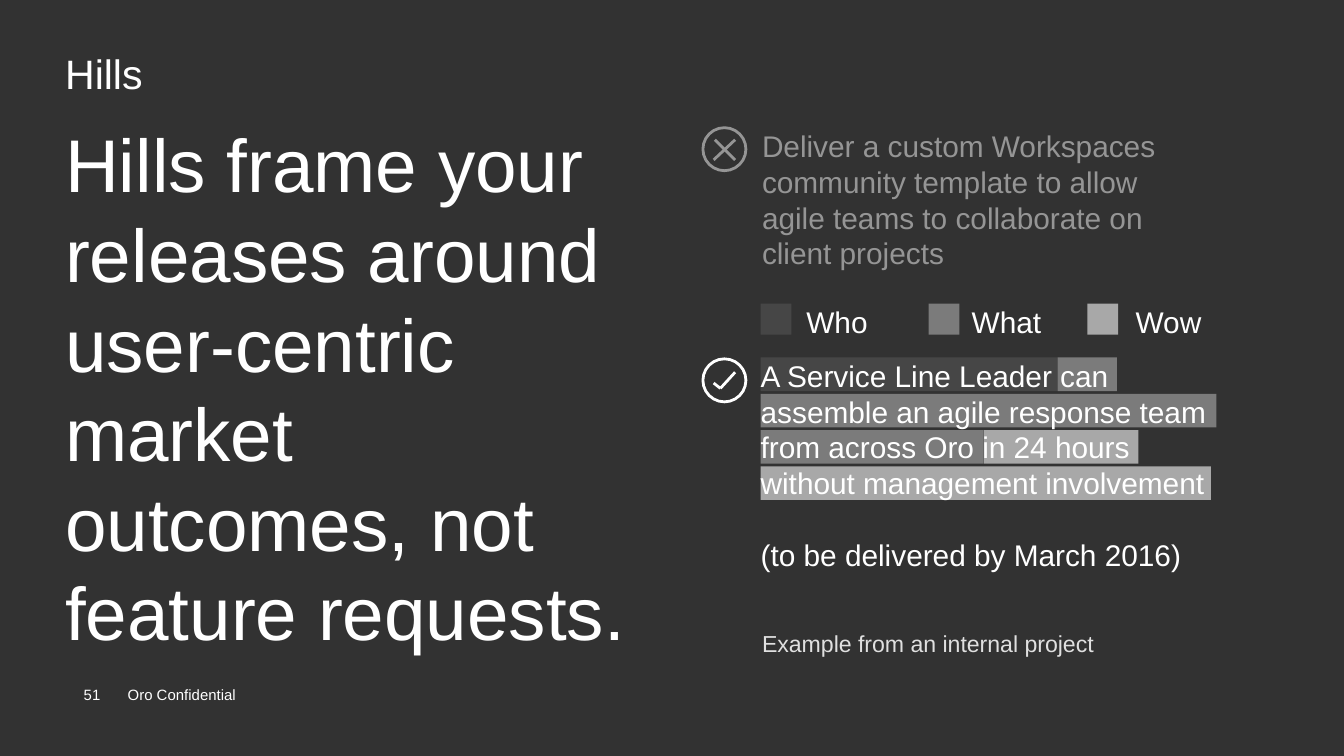
import pptx
import pptx.dml.color
import pptx.enum.shapes
import pptx.enum.text
import pptx.oxml.ns
import pptx.util
import lxml.etree

SHAPE = pptx.enum.shapes.MSO_SHAPE
ALIGN = pptx.enum.text.PP_ALIGN
ANCHOR = pptx.enum.text.MSO_ANCHOR
DARK, MID, LIGHT, WHITE, MUTED = "464646", "7B7B7B", "A8A8A8", "FFFFFF", "959595"


def rgb(value):
    return pptx.dml.color.RGBColor.from_string(value)


def write(sp, text, size=16, color=WHITE, spacing=1.0, gap=0,
          align=ALIGN.LEFT, anchor=ANCHOR.TOP):
    tf = sp.text_frame
    tf.word_wrap = True
    tf.auto_size = pptx.enum.text.MSO_AUTO_SIZE.NONE
    tf.vertical_anchor = anchor
    tf.margin_left = tf.margin_right = tf.margin_top = tf.margin_bottom = 0
    tf.text = text
    for i, p in enumerate(tf.paragraphs):
        p.alignment = align
        p.line_spacing = spacing
        p.space_before = pptx.util.Pt(gap if i else 0)
        p.font.name = "Arial"
        p.font.size = pptx.util.Pt(size)
        p.font.color.rgb = rgb(color)


prs = pptx.Presentation()
prs.slide_width = pptx.util.Inches(10)
prs.slide_height = prs.slide_width * 9 // 16
col = prs.slide_width / 100
row = prs.slide_height / 56.25

s = prs.slides.add_slide(prs.slide_layouts[5])
s.background.fill.solid()
s.background.fill.fore_color.rgb = rgb("323232")

title = s.shapes.title
title.left, title.top = int(4.85 * col), int(4.05 * row)
title.width, title.height = int(90 * col), int(3.2 * row)
write(title, "Hills", size=22, spacing=0.9)

left, line_top, pitch = 56.6, 26.6, 2.7
bars = [
    (0, 0, 22.1, DARK), (22.1, 0, 4.4, MID),
    (0, 1, 33.9, MID),
    (0, 2, 16.6, MID), (16.6, 2, 11.5, LIGHT),
    (0, 3, 33.5, LIGHT),
]
rects = [(left + x, line_top + n * pitch, w, 2.5, c) for x, n, w, c in bars]

legend = [("Who", 56.6, 60, DARK), ("What", 69.1, 72.3, MID), ("Wow", 80.9, 84.5, LIGHT)]
rects += [(x, 22.6, 2.3, 2.3, c) for _, x, _, c in legend]

for x, y, w, h, c in rects:
    sp = s.shapes.add_shape(SHAPE.RECTANGLE, int(x * col), int(y * row), int(w * col), int(h * row))
    sp.shadow.inherit = False
    sp.fill.solid()
    sp.fill.fore_color.rgb = rgb(c)
    sp.line.fill.background()

footer = dict(size=8, anchor=ANCHOR.MIDDLE)
texts = [
    (4.85, 8.8, 42.7, 40.7,
     "Hills frame your releases around user-centric \vmarket outcomes, not feature requests.",
     dict(size=40)),
    (56.7, 9.5, 32, 10.8,
     "Deliver a custom Workspaces community template to allow agile teams "
     "to collaborate on client projects", dict(color=MUTED)),
    (left, line_top, 33.9, 16.2,
     "A Service Line Leader can assemble an agile response team from across Oro "
     "in 24 hours without management involvement\n(to be delivered by March 2016)",
     dict(gap=19.3)),
    (56.7, 46.8, 29.8, 2.1, "Example from an internal project",
     dict(size=12.4, color="E0E0E0")),
    (4.8, 50.6, 4.1, 2.2, "51", dict(footer, align=ALIGN.CENTER)),
    (9.5, 50.6, 15, 2.2, "Oro Confidential", footer),
]
texts += [(x, 22.6, 5.9, 2.7, name, {}) for name, _, x, _ in legend]

for x, y, w, h, text, style in texts:
    sp = s.shapes.add_textbox(int(x * col), int(y * row), int(w * col), int(h * row))
    write(sp, text, **style)

icons = [
    (9.5, MUTED, [(0.9, 0.9, 2.4, 2.4), (2.4, 0.9, 0.8, 2.4)]),
    (26.7, WHITE, [(0.8, 1.8, 1.3, 2.2), (1.3, 2.2, 2.4, 1)]),
]
for y, c, strokes in icons:
    group = s.shapes.add_group_shape()
    ring = group.shapes.add_shape(SHAPE.OVAL, int(52.3 * col), int(y * row),
                                  int(3.2 * col), int(3.2 * row))
    ring.shadow.inherit = False
    ring.fill.background()
    parts = [ring]
    for x1, y1, x2, y2 in strokes:
        stroke = group.shapes.add_connector(
            pptx.enum.shapes.MSO_CONNECTOR.STRAIGHT,
            int((52.3 + x1) * col), int((y + y1) * row),
            int((52.3 + x2) * col), int((y + y2) * row))
        parts.append(stroke)
    for sp in parts:
        sp.line.color.rgb = rgb(c)
        sp.line.width = pptx.util.Pt(1.5)
    for sp in parts[1:]:
        lxml.etree.SubElement(sp._element.spPr, pptx.oxml.ns.qn("a:effectLst"))

prs.save("out.pptx")
